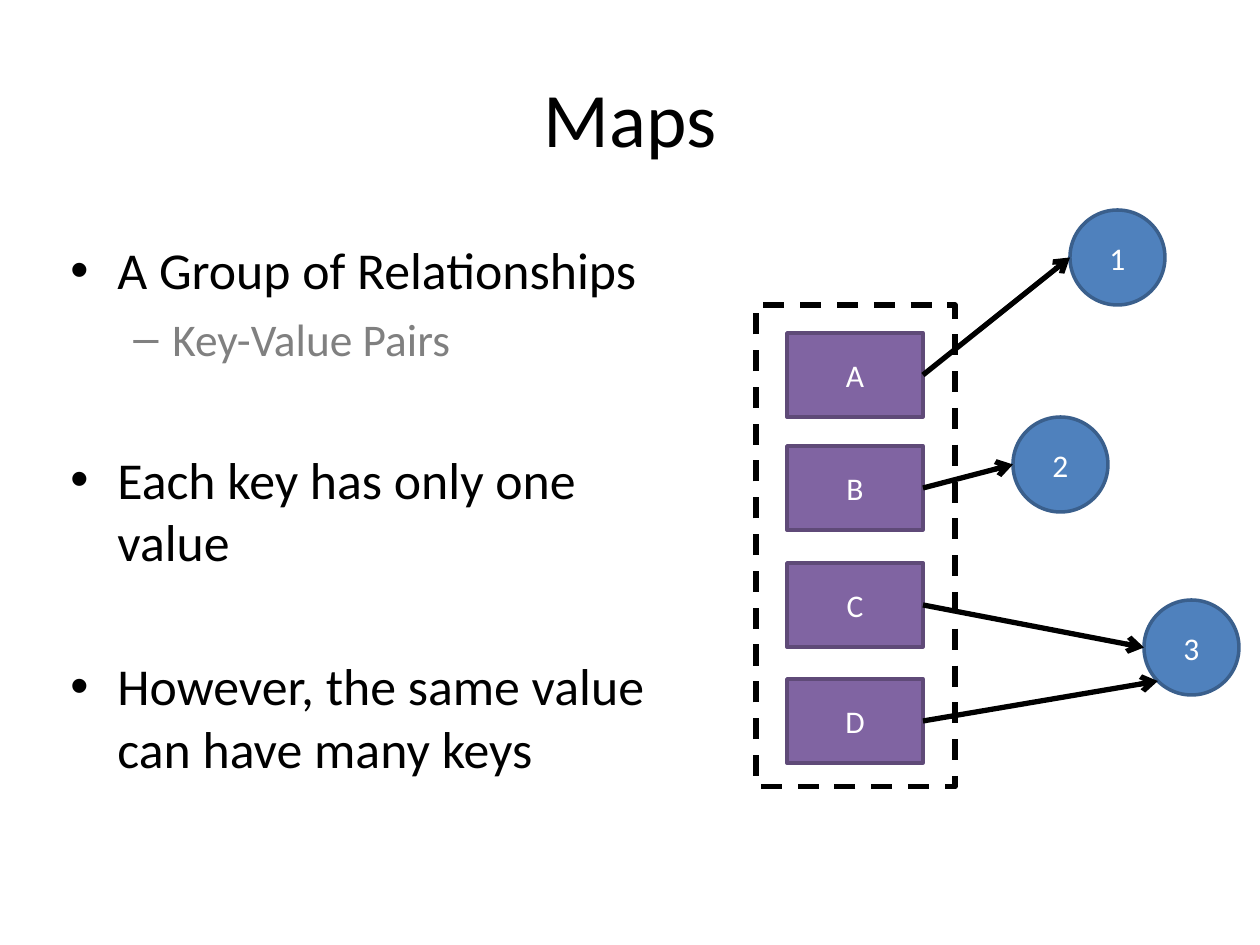
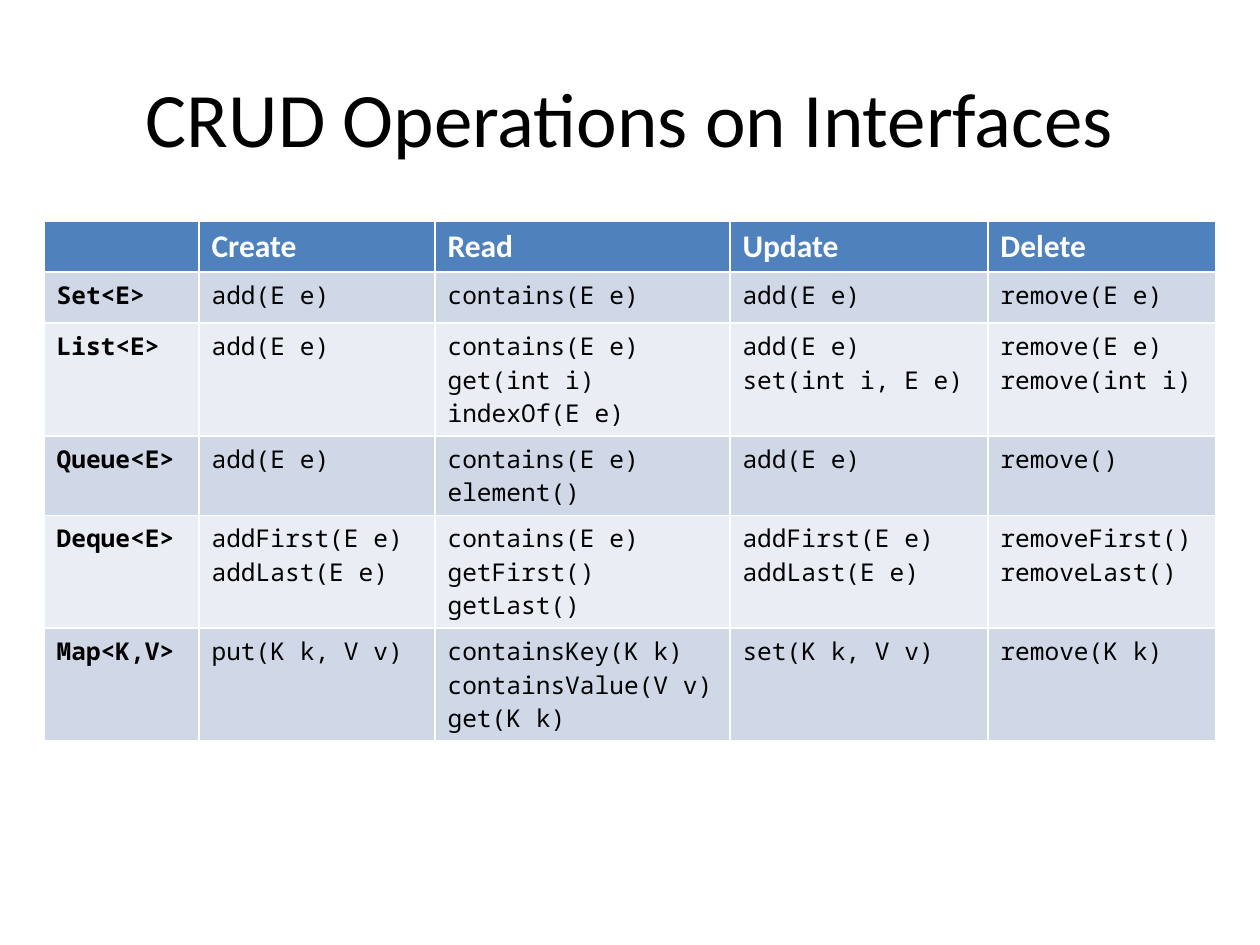
from math import cos, radians, sin

from lxml import etree
from pptx import Presentation
from pptx.dml.color import RGBColor
from pptx.enum.dml import MSO_LINE
from pptx.enum.shapes import MSO_CONNECTOR, MSO_SHAPE
from pptx.enum.text import MSO_ANCHOR, PP_ALIGN
from pptx.oxml.ns import qn
from pptx.util import Emu, Pt

RECT, OVAL = MSO_SHAPE.RECTANGLE, MSO_SHAPE.OVAL
LEFT, MID = PP_ALIGN.LEFT, PP_ALIGN.CENTER
TOP, CENTER = MSO_ANCHOR.TOP, MSO_ANCHOR.MIDDLE
STRAIGHT, DASH = MSO_CONNECTOR.STRAIGHT, MSO_LINE.DASH

BLACK = RGBColor(0x00, 0x00, 0x00)
WHITE = RGBColor(0xFF, 0xFF, 0xFF)
GRAY = RGBColor(0x80, 0x80, 0x80)
BLUE = RGBColor(0x4F, 0x81, 0xBD)
NAVY = RGBColor(0x3A, 0x5F, 0x8C)
PURPLE = RGBColor(0x80, 0x64, 0xA2)
PLUM = RGBColor(0x5F, 0x4A, 0x78)
BANDS = RGBColor(0xD0, 0xD8, 0xE8), RGBColor(0xE9, 0xED, 0xF4)

SANS, MONO = "Calibri", "Noto Sans Mono"
SCALE = 914400 // 126  # EMU in one pixel

TITLE_BOX = 63, 38, 1134, 157

# Level, text, space before in points
POINTS = [
    (0, "A Group of Relationships", 2),
    (1, "Key-Value Pairs", 6),
    (0, "Each key has only one value", 47),
    (0, "However, the same value can have many keys", 47),
]
POINT_BOX = 58, 232, 640, 596
# Bullet, size, colour, left indent and hanging part for each level
LEVELS = [("•", 29.6, BLACK, 47, 47), ("–", 25.9, GRAY, 102, 39)]

KEYS = {"A": 333, "B": 446, "C": 563, "D": 679}  # top of each key
KEY_LEFT, KEY_WIDE, KEY_HIGH = 787, 136, 84
VALUES = {"1": (1070, 210), "2": (1013, 417), "3": (1144, 600)}
ROUND = 95
# Key, value, angle on the circle where the arrow ends
LINKS = [("A", "1", 180), ("B", "2", 180), ("C", "3", 180), ("D", "3", 135)]
KEY_SET = 756, 305, 199, 482

HEADS = ["", "Create", "Read", "Update", "Delete"]
ROWS = [
    ["Set<E>", "add(E e)", "contains(E e)", "add(E e)", "remove(E e)"],
    ["List<E>", "add(E e)", "contains(E e)\nget(int i)\nindexOf(E e)",
     "add(E e)\nset(int i, E e)", "remove(E e)\nremove(int i)"],
    ["Queue<E>", "add(E e)", "contains(E e)\nelement()", "add(E e)",
     "remove()"],
    ["Deque<E>", "addFirst(E e)\naddLast(E e)",
     "contains(E e)\ngetFirst() getLast()",
     "addFirst(E e)\naddLast(E e)", "removeFirst()\nremoveLast()"],
    ["Map<K,V>", "put(K k, V v)",
     "containsKey(K k)\ncontainsValue(V v)\nget(K k)",
     "set(K k, V v)", "remove(K k)"],
]
COLS = [155, 236, 295, 258, 228]
TABLE_LEFT, TABLE_TOP, ROW_HIGH = 44, 221, 51


def emu(*sizes):
    """Turn pixels into a list of EMU lengths."""
    return [Emu(round(size * SCALE)) for size in sizes]


def write(frame, text, size=18, color=BLACK, font=SANS, bold=False,
          align=LEFT, anchor=TOP):
    """Fill a text frame, one paragraph for each line of text."""
    frame.text = text
    frame.word_wrap = True
    frame.vertical_anchor = anchor
    for para in frame.paragraphs:
        para.alignment = align
        face = para.font
        face.size, face.name, face.bold = Pt(size), font, bold
        face.color.rgb = color


def add_slide(deck, title):
    """Add a slide with the shared title style."""
    slide = deck.slides.add_slide(deck.slide_layouts[5])
    head = slide.shapes.title
    head.left, head.top, head.width, head.height = emu(*TITLE_BOX)
    write(head.text_frame, title, size=44, align=MID, anchor=CENTER)
    return slide


def add_box(slide, kind, box, edge, weight, fill=None, text=""):
    """Draw a shape, filled and labelled if asked."""
    shape = slide.shapes.add_shape(kind, *emu(*box))
    shape.shadow.inherit = False
    if fill is None:
        shape.fill.background()
    else:
        shape.fill.solid()
        shape.fill.fore_color.rgb = fill
    shape.line.color.rgb = edge
    shape.line.width = Pt(weight)
    if text:
        write(shape.text_frame, text, color=WHITE, align=MID, anchor=CENTER)
    return shape


def add_arrow(slide, start, end):
    """Draw a black line with an open arrowhead at its end."""
    line = slide.shapes.add_connector(STRAIGHT, *emu(*start, *end))
    line.line.color.rgb = BLACK
    line.line.width = Pt(3)
    etree.SubElement(line.line._get_or_add_ln(), qn("a:tailEnd"), type="arrow")
    etree.SubElement(line._element.spPr, qn("a:effectLst"))


def add_points(slide):
    """Write the bulleted list."""
    frame = slide.shapes.add_textbox(*emu(*POINT_BOX)).text_frame
    write(frame, "\n".join(text for _, text, _ in POINTS))
    for para, (level, _, gap) in zip(frame.paragraphs, POINTS):
        mark, size, color, left, hang = LEVELS[level]
        para.level = level
        para.space_before = Pt(gap)
        para.font.size, para.font.color.rgb = Pt(size), color
        props = para._p.get_or_add_pPr()
        margin, indent = emu(left, -hang)
        props.set("marL", str(margin))
        props.set("indent", str(indent))
        face = etree.Element(qn("a:buFont"), typeface="Arial")
        bullet = etree.Element(qn("a:buChar"), char=mark)
        spot = props.index(props.find(qn("a:defRPr")))
        props[spot:spot] = [face, bullet]


def add_map(slide):
    """Draw the keys, the values and the arrows between them."""
    for key, top in KEYS.items():
        add_box(slide, RECT, (KEY_LEFT, top, KEY_WIDE, KEY_HIGH), PLUM, 2,
                PURPLE, key)
    for value, place in VALUES.items():
        add_box(slide, OVAL, (*place, ROUND, ROUND), NAVY, 2, BLUE, value)
    half = ROUND / 2
    for key, value, angle in LINKS:
        left, top = VALUES[value]
        turn = radians(angle)
        start = KEY_LEFT + KEY_WIDE, KEYS[key] + KEY_HIGH / 2
        end = left + half + half * cos(turn), top + half + half * sin(turn)
        add_arrow(slide, start, end)
    add_box(slide, RECT, KEY_SET, BLACK, 3).line.dash_style = DASH


def add_grid(slide):
    """Build the table of operations."""
    count = len(ROWS) + 1
    box = emu(TABLE_LEFT, TABLE_TOP, sum(COLS), count * ROW_HIGH)
    table = slide.shapes.add_table(count, len(COLS), *box).table
    for col, width in zip(table.columns, emu(*COLS)):
        col.width = width
    for r, row in enumerate([HEADS, *ROWS]):
        table.rows[r].height = emu(ROW_HIGH)[0]
        for c, text in enumerate(row):
            cell = table.cell(r, c)
            cell.fill.solid()
            cell.fill.fore_color.rgb = BANDS[(r - 1) % 2] if r else BLUE
            if r:
                write(cell.text_frame, text, size=14, font=MONO, bold=c == 0)
            elif text:
                write(cell.text_frame, text, color=WHITE, bold=True)


def main():
    """Build both slides and save them."""
    deck = Presentation()
    deck.slide_width, deck.slide_height = emu(1260, 945)
    maps = add_slide(deck, "Maps")
    add_points(maps)
    add_map(maps)
    add_grid(add_slide(deck, "CRUD Operations on Interfaces"))
    deck.save("out.pptx")


main()
